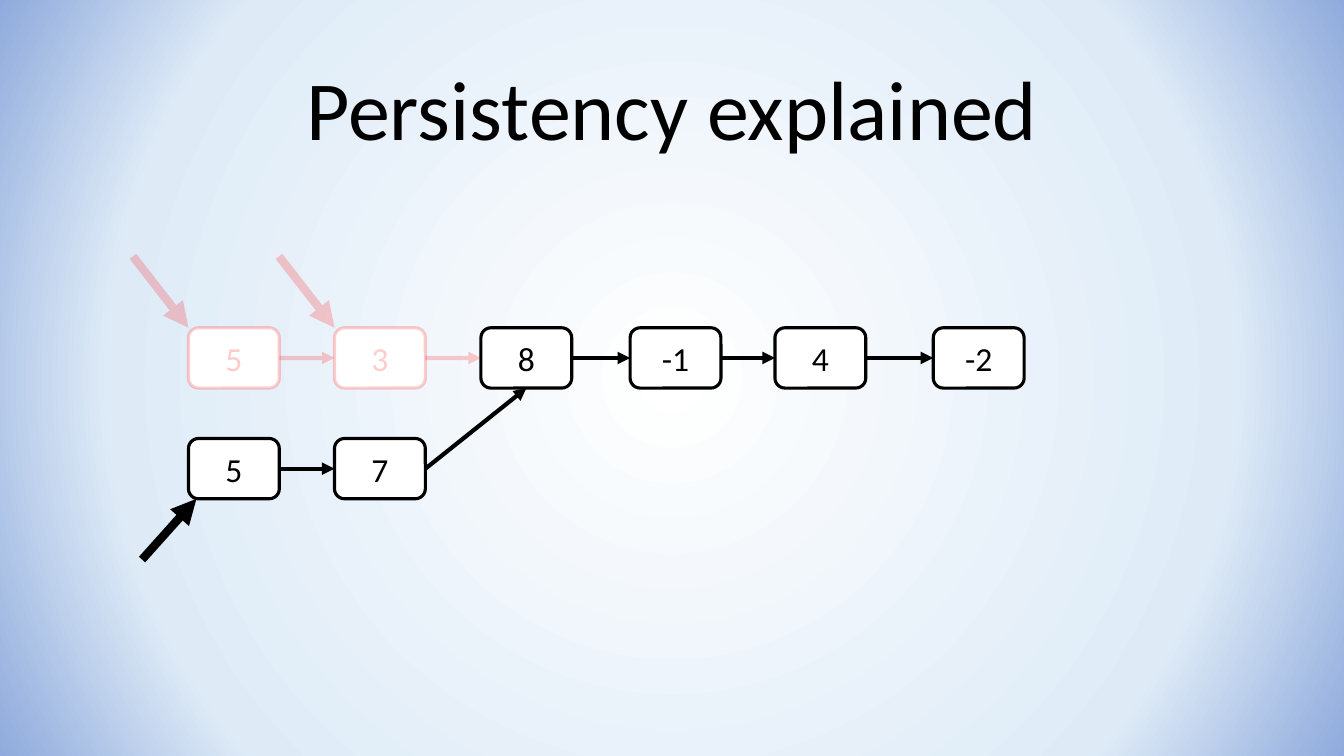
from pptx import Presentation
from pptx.dml.color import RGBColor
from pptx.enum.shapes import MSO_CONNECTOR, MSO_SHAPE
from pptx.enum.text import MSO_ANCHOR, PP_ALIGN
from pptx.oxml import parse_xml
from pptx.oxml.ns import nsdecls, qn
from pptx.util import Cm, Pt

BLACK, RED, WHITE = "000000", "FF0000", "FFFFFF"
FADED = 20
NODE_WIDTH, NODE_HEIGHT = Cm(2.29), Cm(1.52)
OLD_ROW, NEW_ROW = 8.26, 11.05
TOP, LEFT, BOTTOM, RIGHT = range(4)


def paint(fill, color, opacity=100):
    """Make a fill solid, with opacity in percent."""
    fill.solid()
    fill.fore_color.rgb = RGBColor.from_string(color)
    if opacity < 100:
        tint = fill._xPr.find(qn("a:solidFill")).find(qn("a:srgbClr"))
        tint.append(parse_xml(f'<a:alpha {nsdecls("a")} val="{opacity * 1000}"/>'))


def set_background(slide, stops):
    """Spread (percent, colour) stops outwards from the slide's centre."""
    slide.background.fill.solid()
    properties = slide._element.cSld.bg.bgPr
    stop_list = "".join(
        f'<a:gs pos="{percent * 1000}"><a:srgbClr val="{color}"/></a:gs>'
        for percent, color in stops
    )
    gradient = parse_xml(
        f'<a:gradFill {nsdecls("a")} rotWithShape="1"><a:gsLst>{stop_list}</a:gsLst>'
        '<a:path path="circle"><a:fillToRect l="50000" t="50000" r="50000" b="50000"/>'
        "</a:path></a:gradFill>"
    )
    properties.replace(properties.find(qn("a:solidFill")), gradient)


def write(frame, text, size, color, opacity=100):
    frame.word_wrap = True
    frame.vertical_anchor = MSO_ANCHOR.MIDDLE
    paragraph = frame.paragraphs[0]
    paragraph.text = text
    paragraph.alignment = PP_ALIGN.CENTER
    paragraph.font.name = "Calibri"
    paragraph.font.size = Pt(size)
    paint(paragraph.font.fill, color, opacity)
    return paragraph


def add_title(slide, text):
    title = slide.shapes.add_textbox(Cm(2.33), Cm(1.01), Cm(29.21), Cm(3.68))
    write(title.text_frame, text, 60, BLACK).line_spacing = 0.9


def add_node(slide, value, left, top, color=BLACK, opacity=100):
    node = slide.shapes.add_shape(
        MSO_SHAPE.ROUNDED_RECTANGLE, Cm(left), Cm(top), NODE_WIDTH, NODE_HEIGHT
    )
    node.shadow.inherit = False
    paint(node.fill, WHITE)
    paint(node.line.fill, color, opacity)
    node.line.width = Pt(2.25)
    write(node.text_frame, value, 24, color, opacity)
    return node


def add_arrow(slide, start, end, width, color=BLACK, opacity=100):
    arrow = slide.shapes.add_connector(MSO_CONNECTOR.STRAIGHT, *start, *end)
    paint(arrow.line.fill, color, opacity)
    arrow.line.width = Pt(width)
    arrow.line._get_or_add_ln().append(
        parse_xml(f'<a:tailEnd {nsdecls("a")} type="triangle"/>')
    )
    arrow._element.spPr.append(parse_xml(f'<a:effectLst {nsdecls("a")}/>'))
    return arrow


def link(slide, source, target, color=BLACK, opacity=100, side=LEFT):
    """Point from the right of one node to the given side of the next."""
    arrow = add_arrow(slide, (0, 0), (0, 0), 3, color, opacity)
    arrow.begin_connect(source, RIGHT)
    arrow.end_connect(target, side)


def main():
    presentation = Presentation()
    presentation.slide_width, presentation.slide_height = Cm(33.87), Cm(19.05)
    slide = presentation.slides.add_slide(presentation.slide_layouts[6])
    set_background(slide, [(0, WHITE), (73, "DEEBF7"), (100, "8FAADC")])
    add_title(slide, "Persistency explained")

    old_head = [
        add_node(slide, value, left, OLD_ROW, RED, FADED)
        for value, left in [("5", 4.75), ("3", 8.43)]
    ]
    shared_tail = [
        add_node(slide, value, left, OLD_ROW)
        for value, left in [("8", 12.12), ("-1", 15.88), ("4", 19.53), ("-2", 23.52)]
    ]
    new_head = [
        add_node(slide, value, left, NEW_ROW)
        for value, left in [("5", 4.75), ("7", 8.43)]
    ]

    for source, target in zip(old_head, old_head[1:] + shared_tail[:1]):
        link(slide, source, target, RED, FADED)
    for chain in (shared_tail, new_head):
        for source, target in zip(chain, chain[1:]):
            link(slide, source, target)
    link(slide, new_head[-1], shared_tail[0], side=BOTTOM)

    for node in old_head:
        start = (node.left - Cm(1.4), node.top - Cm(1.8))
        add_arrow(slide, start, (node.left, node.top), 6, RED, FADED)
    add_arrow(slide, (Cm(3.58), Cm(14.1)), (Cm(4.95), Cm(12.57)), 6)

    presentation.save("out.pptx")


if __name__ == "__main__":
    main()
